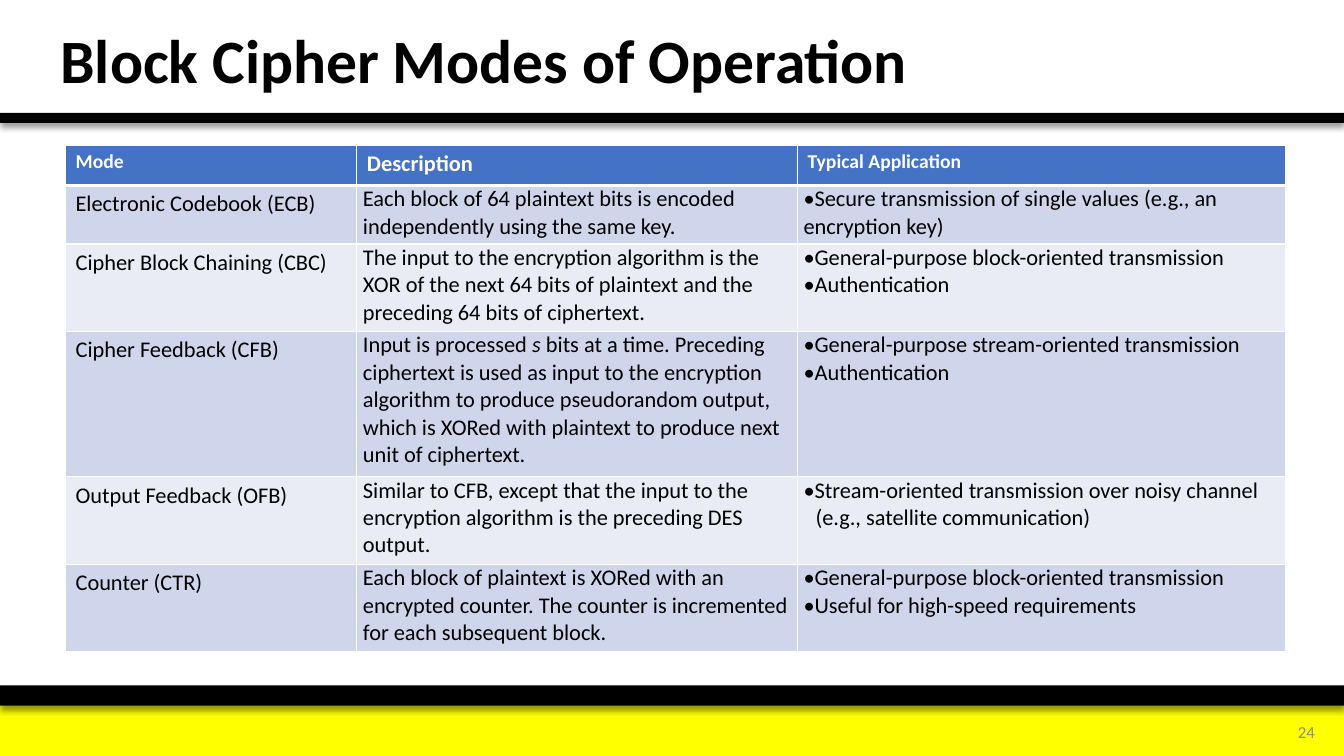
from dataclasses import dataclass

from lxml import etree
from pptx import Presentation
from pptx.dml.color import RGBColor
from pptx.enum.shapes import MSO_SHAPE
from pptx.enum.text import MSO_ANCHOR, MSO_AUTO_SIZE, PP_ALIGN
from pptx.oxml.ns import qn
from pptx.util import Inches, Pt

RECT = MSO_SHAPE.RECTANGLE
MIDDLE = MSO_ANCHOR.MIDDLE
NO_FIT = MSO_AUTO_SIZE.NONE
LEFT, RIGHT = PP_ALIGN.LEFT, PP_ALIGN.RIGHT


@dataclass(frozen=True)
class Theme:
    """Colours, font and type sizes of the slide."""
    font: str = "Calibri"
    black: str = "000000"
    white: str = "FFFFFF"
    yellow: str = "FFFF00"
    grey: str = "8C8C8C"
    header: str = "4472C4"
    bands: tuple = ("CFD5EA", "E9EBF5")
    title_size: int = 44
    body_size: int = 16
    small_size: int = 14
    number_size: int = 12


THEME = Theme()
SLIDE_W, SLIDE_H = 13.33, 7.5
COL_WIDTHS = (2.89, 4.37, 4.84)
ROW_HEIGHTS = (0.4, 0.58, 0.87, 1.44, 0.87, 0.87)
HEADERS = (("Mode", THEME.small_size), ("Description", THEME.body_size),
           ("Typical Application", THEME.small_size))
MODES = (
    ("Electronic Codebook (ECB)",
     ("Each block of 64 plaintext bits is encoded independently using the same key.",),
     ("•Secure transmission of single values (e.g., an encryption key)",)),
    ("Cipher Block Chaining (CBC)",
     ("The input to the encryption algorithm is the XOR of the next 64 bits of plaintext "
      "and the preceding 64 bits of ciphertext.",),
     ("•General-purpose block-oriented transmission", "•Authentication")),
    ("Cipher Feedback (CFB)",
     ("Input is processed ", "s",
      " bits at a time. Preceding ciphertext is used as input to the encryption algorithm "
      "to produce pseudorandom output, which is XORed with plaintext to produce next unit "
      "of ciphertext."),
     ("•General-purpose stream-oriented transmission", "•Authentication")),
    ("Output Feedback (OFB)",
     ("Similar to CFB, except that the input to the encryption algorithm is the preceding "
      "DES output.",),
     ("•Stream-oriented transmission over noisy channel (e.g., satellite communication)",)),
    ("Counter (CTR)",
     ("Each block of plaintext is XORed with an encrypted counter. The counter is "
      "incremented for each subsequent block.",),
     ("•General-purpose block-oriented transmission", "•Useful for high-speed requirements")),
)
HANGING_MODE = "Output Feedback (OFB)"


def format_runs(tf, size, color, bold=False):
    """Give every run of a text frame the theme font and the given look."""
    for p in tf.paragraphs:
        for r in p.runs:
            r.font.name = THEME.font
            r.font.size = Pt(size)
            r.font.bold = bold
            r.font.color.rgb = RGBColor.from_string(color)


def add_bar(shapes, box, color, shadow=False):
    """Add a plain bar, with a soft shadow below it if asked."""
    sp = shapes.add_shape(RECT, *map(Inches, box))
    sp.shadow.inherit = False
    sp.fill.solid()
    sp.fill.fore_color.rgb = RGBColor.from_string(color)
    sp.line.fill.background()
    if shadow:
        effects = sp._element.spPr.find(qn("a:effectLst"))
        outer = etree.SubElement(effects, qn("a:outerShdw"), blurRad=str(Pt(4)),
                                 dist=str(Pt(3)), dir="5400000", rotWithShape="0")
        clr = etree.SubElement(outer, qn("a:srgbClr"), val=THEME.black)
        etree.SubElement(clr, qn("a:alpha"), val="40000")


def add_footer(s, box, number):
    """Add the yellow footer with its black top band and the slide number."""
    x, y, w, h = box
    band_h = 0.2
    grp = s.shapes.add_group_shape()
    add_bar(grp.shapes, (x, y + band_h, w, h - band_h), THEME.yellow)
    add_bar(grp.shapes, (x, y, w, band_h), THEME.black, shadow=True)
    tb = s.shapes.add_textbox(Inches(x + w - 0.95), Inches(y + 0.26), Inches(0.76), Inches(0.4))
    tf = tb.text_frame
    tf.word_wrap = True
    tf.vertical_anchor = MIDDLE
    tf.text = number
    tf.paragraphs[0].alignment = RIGHT
    format_runs(tf, THEME.number_size, THEME.grey)


def add_heading(s, box, text):
    """Fill the title placeholder and draw the black rule under it."""
    x, y, w, h = box
    add_bar(s.shapes, (0, y + h - 0.07, SLIDE_W, 0.1), THEME.black, shadow=True)
    title = s.shapes.title
    title.left, title.top, title.width, title.height = map(Inches, (x, y, w, h))
    tf = title.text_frame
    tf.text = text
    tf.auto_size = NO_FIT
    tf.word_wrap = True
    tf.vertical_anchor = MIDDLE
    p = tf.paragraphs[0]
    p.alignment = LEFT
    p.line_spacing = 0.9
    format_runs(tf, THEME.title_size, THEME.black, bold=True)


def style_cell(cell, row, color):
    """Give a cell white borders, heavier under the header, and a fill."""
    tc_pr = cell._tc.get_or_add_tcPr()
    heavy = {(0, "B"), (1, "T")}
    for side in "LRTB":
        ln = etree.SubElement(tc_pr, qn(f"a:ln{side}"),
                              w=str(Pt(3 if (row, side) in heavy else 1)))
        fill = etree.SubElement(ln, qn("a:solidFill"))
        etree.SubElement(fill, qn("a:srgbClr"), val=THEME.white)
    cell.fill.solid()
    cell.fill.fore_color.rgb = RGBColor.from_string(color)


def tighten(cell):
    """Use the narrow insets of the description and application columns."""
    cell.margin_left = cell.margin_right = Inches(0.06)
    cell.margin_top = cell.margin_bottom = 0


def space(p):
    """Set the paragraph spacing of a single-paragraph cell."""
    p.space_before = p.space_after = Pt(3)


def fill_mode_row(cells, mode, description, uses):
    """Write one cipher mode into the three cells of its row."""
    name_cell, description_cell, use_cell = cells
    name_cell.text_frame.text = mode
    tighten(description_cell)
    p = description_cell.text_frame.paragraphs[0]
    space(p)
    for i, part in enumerate(description):
        r = p.add_run()
        r.text = part
        r.font.italic = i == 1
    tighten(use_cell)
    use_cell.text_frame.text = "\n".join(uses)
    if len(uses) == 1:
        p = use_cell.text_frame.paragraphs[0]
        space(p)
        if mode == HANGING_MODE:
            p_pr = p._p.get_or_add_pPr()
            p_pr.set("marL", str(Inches(0.12)))
            p_pr.set("indent", str(Inches(-0.12)))
    for cell in cells:
        format_runs(cell.text_frame, THEME.body_size, THEME.black)


def add_modes_table(s, box):
    """Add the table of cipher modes."""
    frame = s.shapes.add_table(len(ROW_HEIGHTS), len(COL_WIDTHS), *map(Inches, box))
    table = frame.table
    for col, width in zip(table.columns, COL_WIDTHS):
        col.width = Inches(width)
    for i, (row, height) in enumerate(zip(table.rows, ROW_HEIGHTS)):
        row.height = Inches(height)
        for cell in row.cells:
            style_cell(cell, i, THEME.bands[(i - 1) % 2] if i else THEME.header)
    for cell, (text, size) in zip(table.rows[0].cells, HEADERS):
        cell.text_frame.text = text
        format_runs(cell.text_frame, size, THEME.white, bold=True)
    for i, mode in enumerate(MODES, 1):
        fill_mode_row(list(table.rows[i].cells), *mode)


def main():
    """Build and save the slide."""
    prs = Presentation()
    prs.slide_width, prs.slide_height = Inches(SLIDE_W), Inches(SLIDE_H)
    s = prs.slides.add_slide(prs.slide_layouts[5])
    add_footer(s, (0, 6.8, SLIDE_W, 0.7), "24")
    add_heading(s, (0.5, 0.07, 9, 1.12), "Block Cipher Modes of Operation")
    add_modes_table(s, (0.65, 1.44, sum(COL_WIDTHS), sum(ROW_HEIGHTS)))
    prs.save("out.pptx")


if __name__ == "__main__":
    main()
